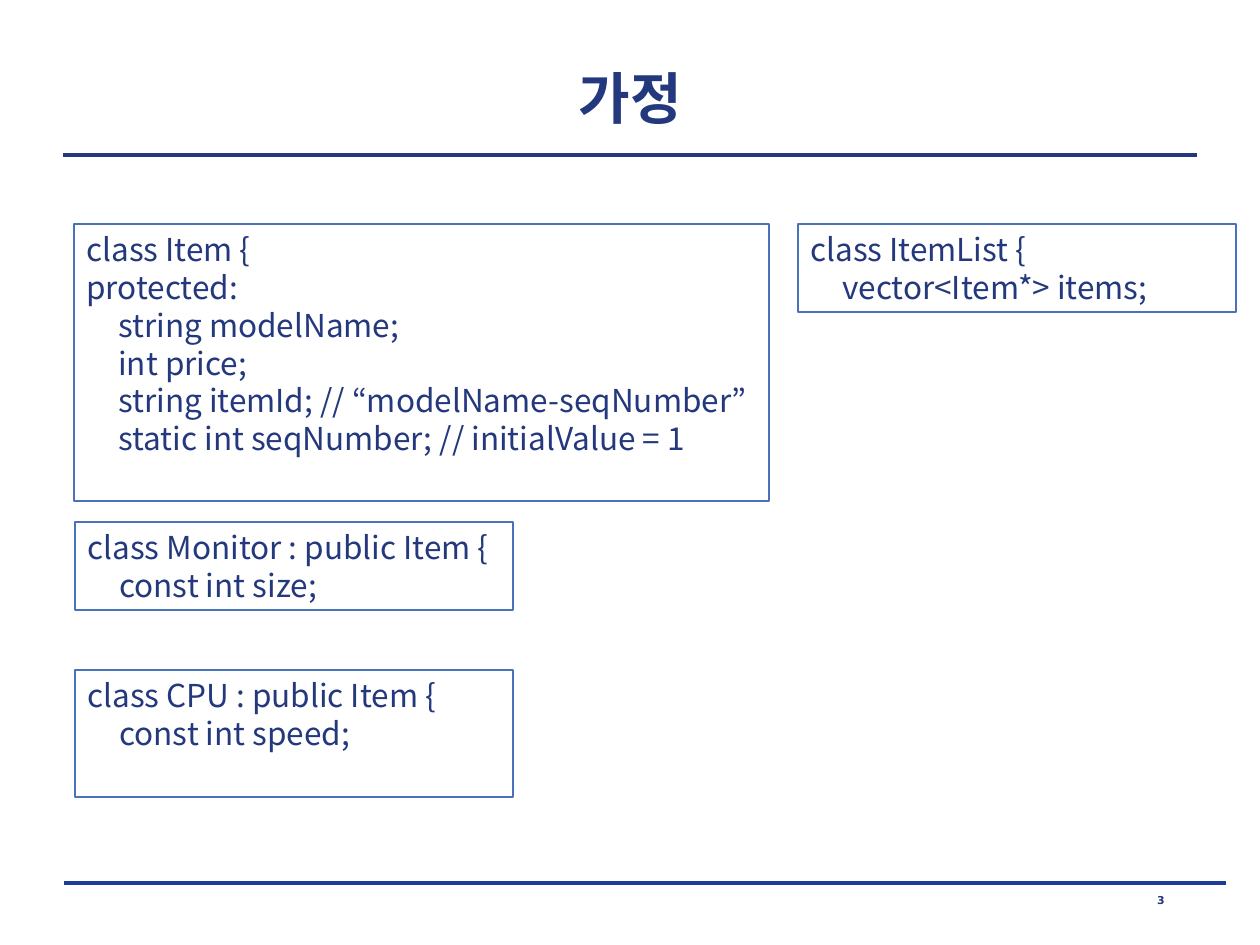
from lxml.etree import SubElement
from pptx import Presentation
from pptx.dml.color import RGBColor
from pptx.enum.shapes import MSO_CONNECTOR as Connector, MSO_SHAPE as Shape
from pptx.enum.text import MSO_ANCHOR as Anchor, PP_ALIGN as Align
from pptx.oxml.ns import qn
from pptx.util import Pt

PX = 914400 // 126
NAVY, BLUE, FOOTER_BLUE = "23387D", "4972BB", "1A3D97"
SANS, NUMBER_FONT = "Noto Sans CJK KR", "DejaVu Sans"
INDENT = 32

TITLE = "가정"
PAGE_NUMBER = "3"
# left, top, width, height, lines as (indent level, text)
CLASSES = [
    (74, 224, 695, 277, [
        (0, "class Item {"),
        (0, "protected:"),
        (1, "string modelName;"),
        (1, "int price;"),
        (1, "string itemId; // “modelName-seqNumber”"),
        (1, "static int seqNumber; // initialValue = 1"),
    ]),
    (75, 522, 438, 88, [(0, "class Monitor : public Item {"), (1, "const int size;")]),
    (75, 670, 438, 127, [(0, "class CPU : public Item {"), (1, "const int speed;")]),
    (798, 224, 438, 88, [(0, "class ItemList {"), (1, "vector<Item*> items;")]),
]
# left, right, y, colour, points
RULES = [(64, 1226, 883, FOOTER_BLUE, 0), (63, 1197, 155, NAVY, 1.75)]


def color(value):
    return RGBColor.from_string(value)


def place(box, left, top, width, height):
    values = dict(left=left, top=top, width=width, height=height)
    for name, value in values.items():
        setattr(box, name, value * PX)


def write(para, text, size, font=SANS, bold=False):
    span = para.add_run()
    span.text = text
    for name, value in dict(size=Pt(size), name=font, bold=bold).items():
        setattr(span.font, name, value)
    span.font.color.rgb = color(NAVY)
    SubElement(span.font._element, qn("a:ea")).set("typeface", font)


def format_frame(frame, anchor):
    values = dict(word_wrap=True, vertical_anchor=anchor,
                  margin_left=Pt(7.2), margin_right=Pt(7.2),
                  margin_top=Pt(3.6), margin_bottom=Pt(3.6))
    for name, value in values.items():
        setattr(frame, name, value)


def add_rule(page, left, right, y, line_color, points):
    rule = page.shapes.add_connector(
        Connector.STRAIGHT, left * PX, y * PX, right * PX, y * PX)
    rule.line.color.rgb = color(line_color)
    rule.line.width = Pt(points)
    SubElement(rule._element.spPr, qn("a:effectLst"))


def add_class(page, left, top, width, height, lines):
    box = page.shapes.add_shape(
        Shape.RECTANGLE, left * PX, top * PX, width * PX, height * PX)
    box.shadow.inherit = False
    box.fill.background()
    box.line.color.rgb = color(BLUE)
    box.line.width = Pt(0.75)
    frame = box.text_frame
    format_frame(frame, Anchor.TOP)
    for index, (level, text) in enumerate(lines):
        para = frame.add_paragraph() if index else frame.paragraphs[0]
        para.alignment = Align.LEFT
        para.line_spacing = Pt(21.6)
        para._p.get_or_add_pPr().set("marL", str(level * INDENT * PX))
        write(para, text, 18)


def main():
    deck = Presentation()
    deck.slide_width, deck.slide_height = 1260 * PX, 945 * PX
    page = deck.slides.add_slide(deck.slide_layouts[5])

    # Rules under the title and above the page number
    for rule in RULES:
        add_rule(page, *rule)

    # Title
    title = page.shapes.title
    place(title, 64, 44, 1133, 106)
    format_frame(title.text_frame, Anchor.MIDDLE)
    para = title.text_frame.paragraphs[0]
    para.alignment = Align.CENTER
    write(para, TITLE, 32, bold=True)

    # Page number
    number = page.shapes.add_textbox(0, 0, 0, 0)
    place(number, 1017, 890, 288, 30)
    format_frame(number.text_frame, Anchor.TOP)
    para = number.text_frame.paragraphs[0]
    para.alignment = Align.CENTER
    para.line_spacing = 0.8
    write(para, PAGE_NUMBER, 6.2, NUMBER_FONT, True)

    # Class declarations
    for declaration in CLASSES:
        add_class(page, *declaration)

    deck.save("out.pptx")


if __name__ == "__main__":
    main()
